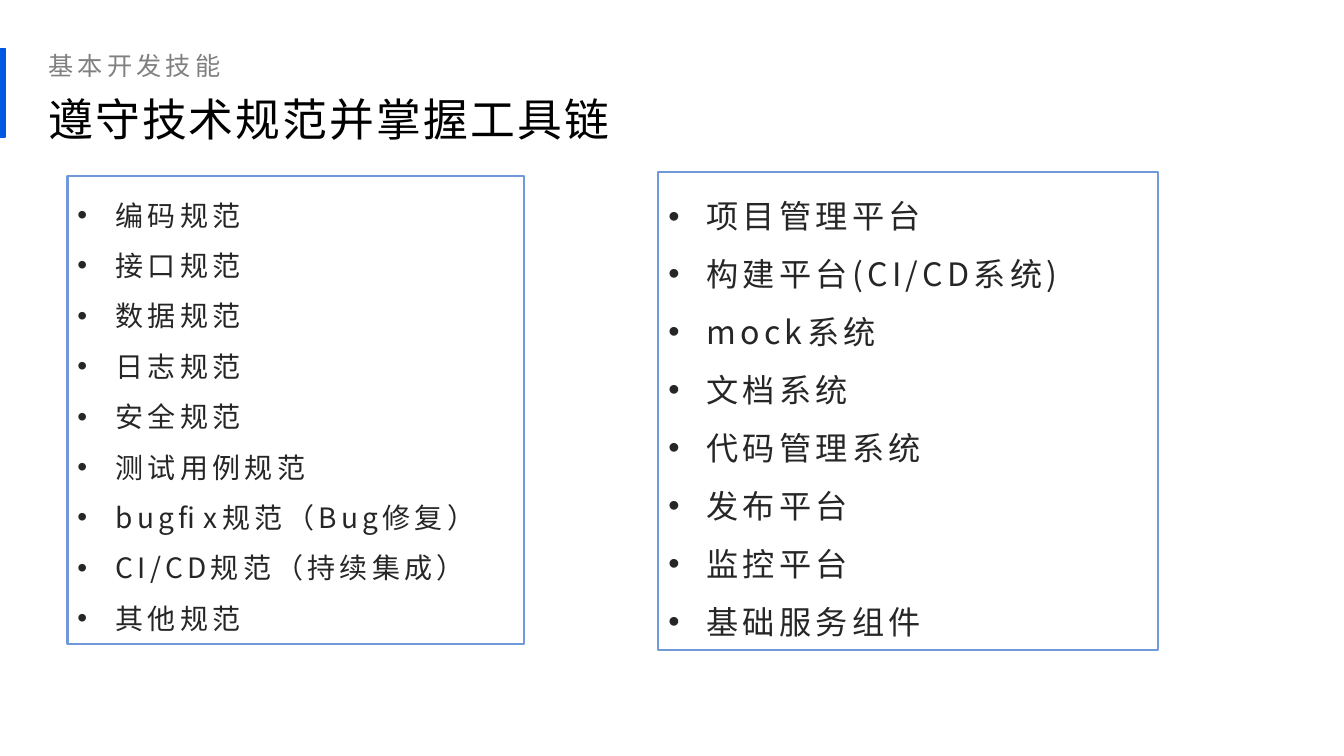
from lxml import etree
from pptx import Presentation
from pptx.dml.color import RGBColor
from pptx.enum.shapes import MSO_SHAPE
from pptx.enum.text import MSO_ANCHOR, MSO_AUTO_SIZE, PP_ALIGN
from pptx.oxml.ns import qn
from pptx.util import Inches, Pt

RECT = MSO_SHAPE.RECTANGLE
TOP, BOTTOM = MSO_ANCHOR.TOP, MSO_ANCHOR.BOTTOM
GROW = MSO_AUTO_SIZE.SHAPE_TO_FIT_TEXT
LEFT = PP_ALIGN.LEFT
FONT = "Noto Sans CJK SC"
INDENT = Inches(0.38)

RULES = ["编码规范", "接口规范", "数据规范", "日志规范", "安全规范", "测试用例规范",
         "bugfix规范（Bug修复）", "CI/CD规范（持续集成）", "其他规范"]
TOOLS = ["项目管理平台", "构建平台(CI/CD系统)", "mock系统", "文档系统",
         "代码管理系统", "发布平台", "监控平台", "基础服务组件"]


def color(code):
    return RGBColor.from_string(code)


def style(para, size, code, gap, lead):
    """Format a paragraph; gap is the letter spacing in points."""
    para.alignment = LEFT
    para.line_spacing = lead
    for run in para.runs:
        font = run.font
        font.size = Pt(size)
        font.color.rgb = color(code)
        font.name = FONT
        props = run._r.get_or_add_rPr()
        props.set("spc", str(int(gap * 100)))
        etree.SubElement(props, qn("a:ea")).set("typeface", FONT)


def add_bullet(para):
    props = para._p.get_or_add_pPr()
    props.set("marL", str(INDENT))
    props.set("indent", str(-INDENT))
    etree.SubElement(props, qn("a:buFont")).set("typeface", "Arial")
    etree.SubElement(props, qn("a:buChar")).set("char", "•")


def add_rect(slide, area, line, width, fill=None):
    rect = slide.shapes.add_shape(RECT, *map(Inches, area))
    rect.shadow.inherit = False
    if fill:
        rect.fill.solid()
        rect.fill.fore_color.rgb = color(fill)
    else:
        rect.fill.background()
    rect.line.color.rgb = color(line)
    rect.line.width = Pt(width)
    return rect


def add_label(slide, area, text, size, code, gap, anchor):
    """Add a heading line with no inset on the side it is anchored to."""
    frame = slide.shapes.add_textbox(*map(Inches, area)).text_frame
    frame.word_wrap = True
    frame.vertical_anchor = anchor
    if anchor == TOP:
        frame.margin_top = 0
    else:
        frame.margin_bottom = 0
    frame.text = text
    style(frame.paragraphs[0], size, code, gap, 1.2)


def add_list(slide, area, items, size):
    frame = add_rect(slide, area, "6F99D9", 1.5).text_frame
    frame.word_wrap = True
    frame.auto_size = GROW
    frame.vertical_anchor = TOP
    frame.text = "\n".join(items)
    for para in frame.paragraphs:
        add_bullet(para)
        style(para, size, "262626", 3, 1.5)


def main():
    deck = Presentation()
    deck.slide_width, deck.slide_height = Inches(13.33), Inches(7.5)
    slide = deck.slides.add_slide(deck.slide_layouts[6])
    add_rect(slide, (0, 0.48, 0.05, 0.88), "0057E1", 1, "0057E1")
    add_label(slide, (0.38, 0.8, 12.33, 0.66), "遵守技术规范并掌握工具链",
              32, "000000", 1.5, TOP)
    add_label(slide, (0.38, 0.32, 10.48, 0.48), "基本开发技能",
              18, "808080", 3, BOTTOM)
    add_list(slide, (6.53, 1.71, 4.96, 4.74), TOOLS, 23)
    add_list(slide, (0.67, 1.75, 4.53, 4.64), RULES, 20)
    deck.save("out.pptx")


if __name__ == "__main__":
    main()
